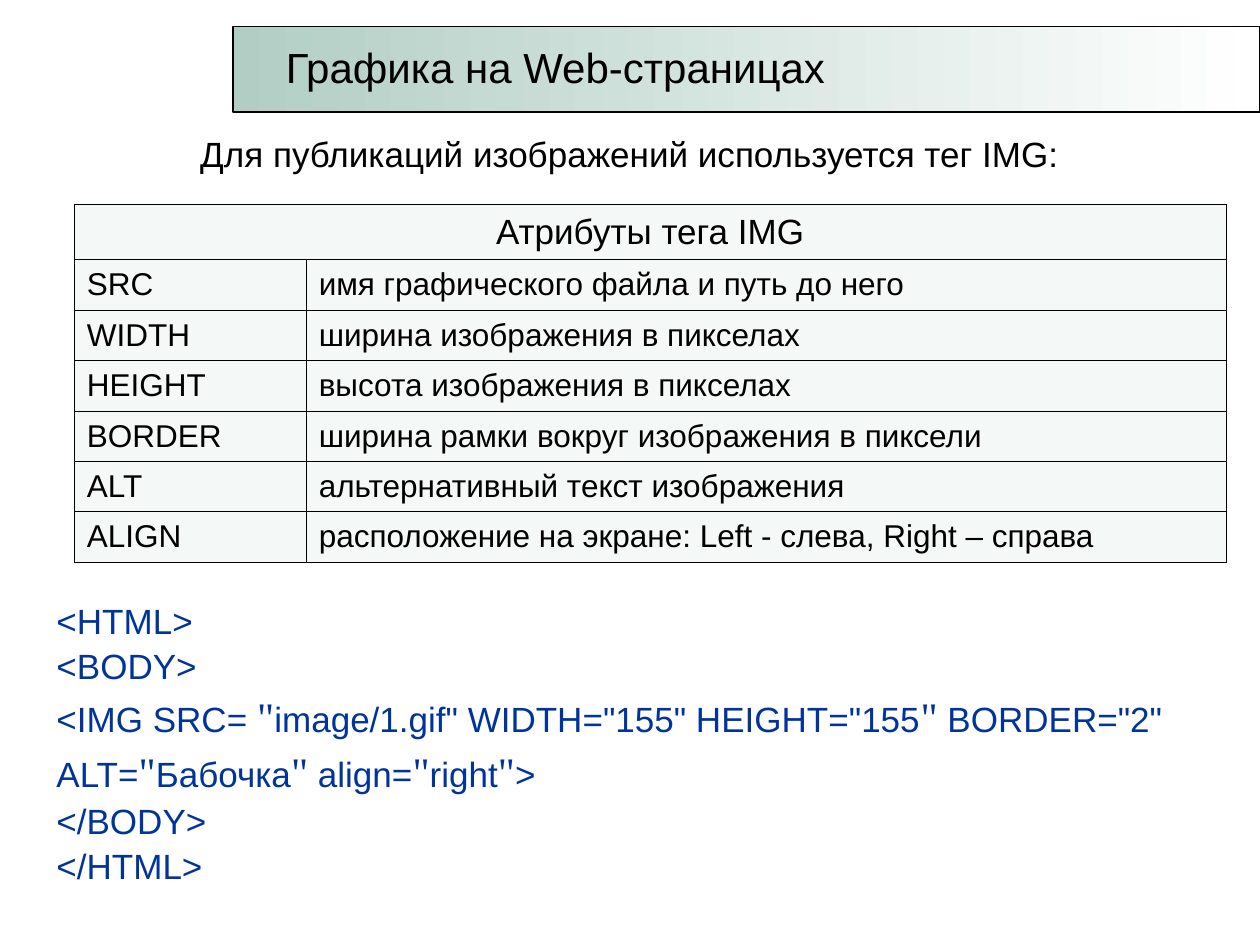
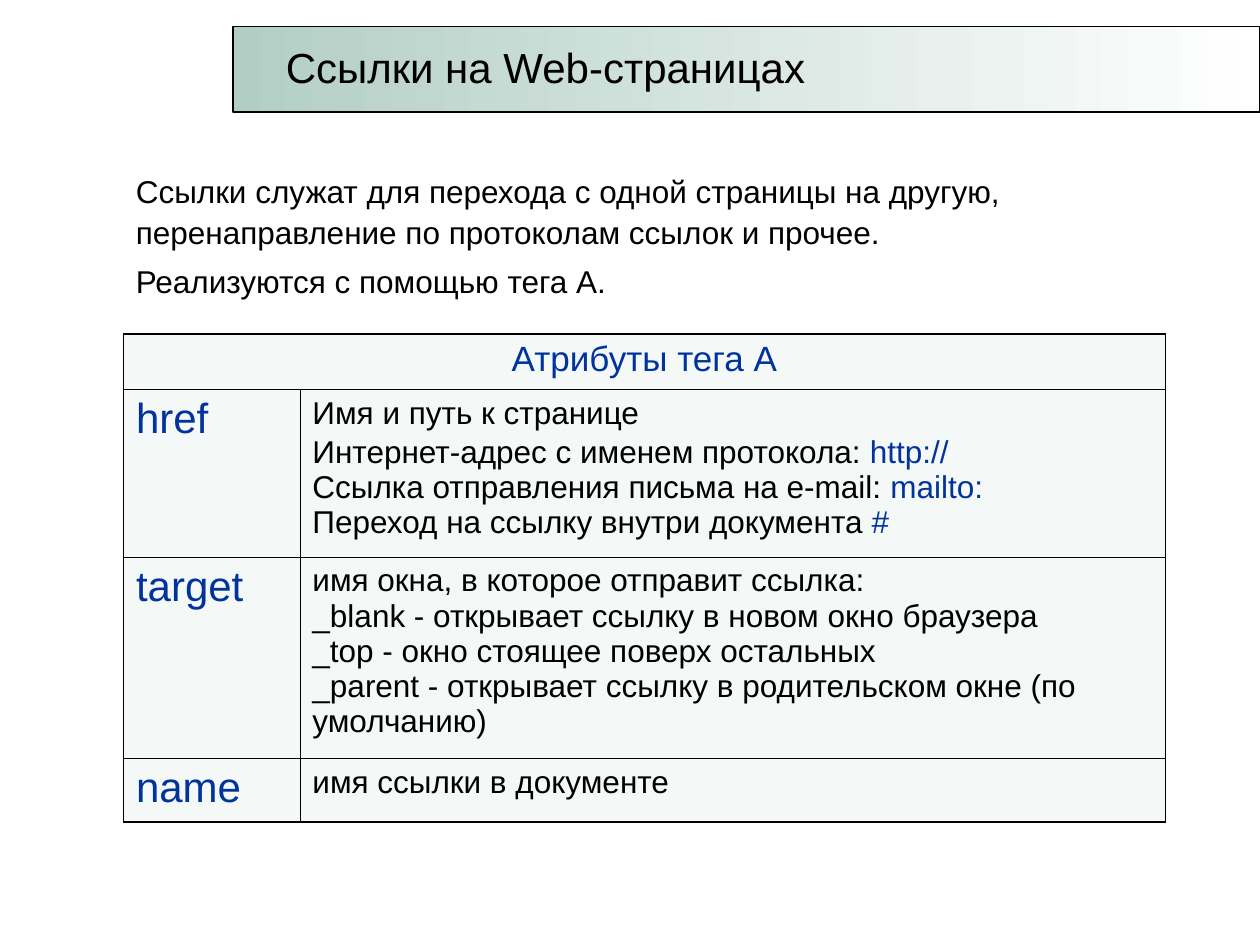
from dataclasses import dataclass, replace

from lxml.etree import SubElement
from pptx import Presentation
from pptx.dml.color import RGBColor
from pptx.enum.shapes import MSO_SHAPE
from pptx.enum.text import MSO_ANCHOR, PP_ALIGN
from pptx.oxml.ns import qn
from pptx.util import Emu, Pt

PX = 9144  # EMU in one px, 100 px to the inch
BLACK, BLUE, WHITE = "000000", "00349C", "FFFFFF"
MINT, PALE_MINT = "B2CEC4", "EBF3F0"


def px(n):
    return Emu(n * PX)


def rgb(hex_string):
    return RGBColor.from_string(hex_string)


@dataclass(frozen=True)
class Font:
    size: int
    color: str = BLACK
    name: str = "Arial"


BODY = Font(18)
LEAD = Font(20)
TITLE = Font(24)
CODE = Font(20, BLUE)
QUOTE = Font(24, BLUE, "Times New Roman")
KEYWORD = replace(BODY, color=BLUE)
TAG = replace(TITLE, color=BLUE)


@dataclass(frozen=True)
class Para:
    """Runs are (text, font) pairs; a newline in a text is a line break."""
    runs: list
    before: float = 0
    align: PP_ALIGN = PP_ALIGN.LEFT


class Deck:
    """Holds the shared style and the slide being built."""

    line_spacing = 1.08
    inner_border = 0.45

    def __init__(self):
        self.prs = Presentation()
        self.prs.slide_width, self.prs.slide_height = px(1000), px(750)
        self.s = None

    def slide(self, title, title_width):
        self.s = self.prs.slides.add_slide(self.prs.slide_layouts[6])
        self.band()
        self.text(217, 28, title_width, 50, [Para([(title, TITLE)])],
                  anchor=MSO_ANCHOR.TOP, wrap=False, spacing=1)

    def band(self):
        sp = self.s.shapes.add_shape(MSO_SHAPE.RECTANGLE, px(185), px(21), px(815), px(68))
        sp.shadow.inherit = False
        sp.fill.gradient()
        sp.fill.gradient_angle = 0
        for stop, color in zip(sp.fill.gradient_stops, (MINT, WHITE)):
            stop.color.rgb = rgb(color)
        sp.line.color.rgb = rgb(BLACK)
        sp.line.width = Pt(0.75)

    def text(self, x, y, w, h, paras, anchor=MSO_ANCHOR.MIDDLE, wrap=True, spacing=line_spacing):
        tf = self.s.shapes.add_textbox(px(x), px(y), px(w), px(h)).text_frame
        tf.word_wrap = wrap
        tf.vertical_anchor = anchor
        self.paragraphs(tf, paras, spacing)

    def paragraphs(self, tf, paras, spacing=1):
        for i, para in enumerate(paras):
            p = tf.add_paragraph() if i else tf.paragraphs[0]
            p.alignment = para.align
            p.line_spacing = spacing
            p.space_before = Pt(para.before)
            for text, font in para.runs:
                for j, line in enumerate(text.split("\n")):
                    if j:
                        p.add_line_break()
                    if line:
                        self.run(p, line, font)

    def run(self, p, text, font):
        r = p.add_run()
        r.text = text
        r.font.size = Pt(font.size)
        r.font.name = font.name
        r.font.color.rgb = rgb(font.color)

    def table(self, x, y, widths, heights, header, rows, anchor, outer_border=inner_border):
        """Draws a table whose first row is one merged header cell."""
        frame = self.s.shapes.add_table(len(heights), len(widths), px(x), px(y),
                                        px(sum(widths)), px(sum(heights)))
        table = frame.table
        table.first_row = table.horz_banding = False
        for column, width in zip(table.columns, widths):
            column.width = px(width)
        for row, height in zip(table.rows, heights):
            row.height = px(height)
        table.cell(0, 0).merge(table.cell(0, len(widths) - 1))
        last_row, last_col = len(heights) - 1, len(widths) - 1
        for i, row in enumerate([[header, None], *rows]):
            for j, paras in enumerate(row):
                cell = table.cell(i, j)
                outer = {"L": j == 0, "R": j == last_col or i == 0,
                         "T": i == 0, "B": i == last_row}
                self.borders(cell, {side: outer_border if edge else self.inner_border
                                    for side, edge in outer.items()})
                self.pale_fill(cell)
                cell.vertical_anchor = anchor
                if paras:
                    self.paragraphs(cell.text_frame, paras)

    def borders(self, cell, widths):
        tc_pr = cell._tc.get_or_add_tcPr()
        for side, width in widths.items():
            ln = SubElement(tc_pr, qn(f"a:ln{side}"), w=str(Pt(width)))
            fill = SubElement(ln, qn("a:solidFill"))
            SubElement(fill, qn("a:srgbClr"), val=BLACK)

    def pale_fill(self, cell):
        cell.fill.solid()
        cell.fill.fore_color.rgb = rgb(PALE_MINT)
        color = cell._tc.tcPr.find(qn("a:solidFill")).find(qn("a:srgbClr"))
        SubElement(color, qn("a:alpha"), val="50000")


def graphics_slide(deck):
    deck.slide("Графика на Web-страницах", 449)
    img_parts = ["<IMG SRC= ", 'image/1.gif" WIDTH="155" HEIGHT="155', ' BORDER="2" ALT=',
                 "Бабочка", " align=", "right", ">"]
    img_runs = [(img_parts[0], CODE)]
    for part in img_parts[1:]:
        img_runs += [('"', QUOTE), (part, CODE)]
    deck.text(35, 108, 937, 590, [
        Para([("Для публикаций изображений используется тег IMG: ", LEAD)], align=PP_ALIGN.CENTER),
        Para([("<HTML>", CODE)], before=241),
        Para([("<BODY>", CODE)]),
        Para(img_runs),
        Para([("</BODY>", CODE)]),
        Para([("</HTML>", CODE)]),
    ])
    attributes = [
        ("SRC", "имя графического файла и путь до него"),
        ("WIDTH", "ширина изображения в пикселах"),
        ("HEIGHT", "высота изображения в пикселах"),
        ("BORDER", "ширина рамки вокруг изображения в пиксели"),
        ("ALT", "альтернативный текст изображения"),
        ("ALIGN", "расположение на экране: Left - слева, Right – справа"),
    ]
    deck.table(59, 162, [184, 730], [44] + [40] * len(attributes),
               [Para([("Атрибуты тега IMG", LEAD)], align=PP_ALIGN.CENTER)],
               [[[Para([(text, BODY)])] for text in row] for row in attributes],
               MSO_ANCHOR.MIDDLE)


def links_slide(deck):
    deck.slide("Ссылки на Web-страницах", 433)
    deck.text(98, 131, 803, 110, [
        Para([("Ссылки служат для перехода с одной страницы на другую, "
               "перенаправление по протоколам ссылок и прочее.", BODY)]),
        Para([("Реализуются с помощью тега A.", BODY)], before=5),
    ])
    attributes = {
        "href": [
            [("Имя и путь к странице", BODY)],
            [("Интернет-адрес с именем протокола: ", BODY), ("http://\n", KEYWORD),
             ("Ссылка отправления письма на e-mail: ", BODY), ("mailto:\n", KEYWORD),
             ("Переход на ссылку внутри документа ", BODY), ("#", KEYWORD)],
        ],
        "target": [[("имя окна, в которое отправит ссылка:\n"
                     "_blank - открывает ссылку в новом окно браузера\n"
                     "_top - окно стоящее поверх остальных\n"
                     "_parent - открывает ссылку в родительском окне (по умолчанию)", BODY)]],
        "name": [[("имя ссылки в документе", BODY)]],
    }
    deck.table(98, 265, [140, 687], [44, 133, 160, 50],
               [Para([("Атрибуты тега A", CODE)], before=5, align=PP_ALIGN.CENTER)],
               [[[Para([(name, TAG)], before=6)], [Para(runs, before=2.2) for runs in meaning]]
                for name, meaning in attributes.items()],
               MSO_ANCHOR.TOP, outer_border=1.08)


def main():
    deck = Deck()
    graphics_slide(deck)
    links_slide(deck)
    deck.prs.save("out.pptx")


if __name__ == "__main__":
    main()
